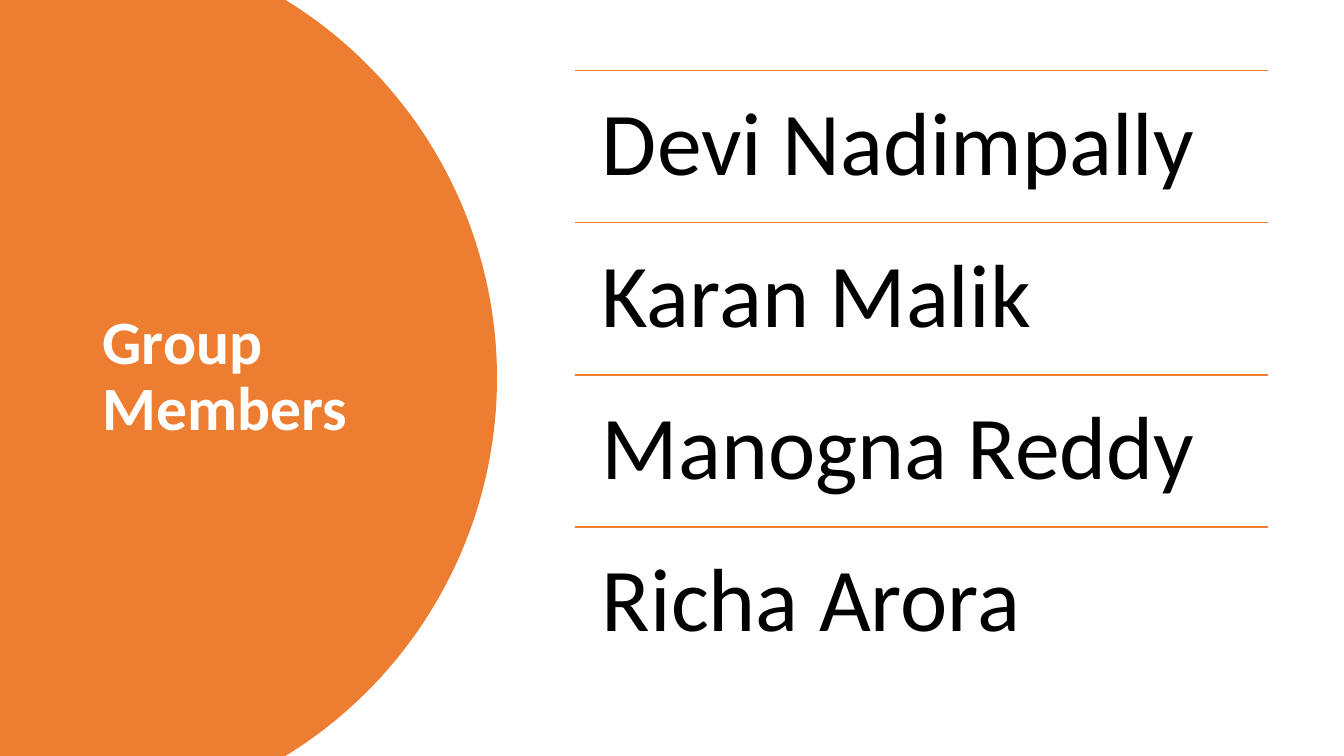
import math
from dataclasses import dataclass

import pptx
import pptx.dml.color
import pptx.enum.shapes
import pptx.enum.text
import pptx.oxml.ns
import pptx.util
from lxml import etree

Inches = pptx.util.Inches

HEADING = "Group Members"
MEMBERS = ["Devi Nadimpally", "Karan Malik", "Manogna Reddy", "Richa Arora"]


@dataclass(frozen=True)
class Theme:
    font: str = "Calibri"
    accent: str = "ED7D31"
    heading_color: str = "FFFFFF"
    member_color: str = "000000"
    heading_size: int = 44
    member_size: int = 64
    rule_width: int = 1
    line_spacing: float = 0.9


THEME = Theme()
SLIDE_W, SLIDE_H = 13.33, 7.5
ARC_CENTER_X, ARC_RADIUS, ARC_STEPS = 0.53, 4.4, 80
HEADING_BOX = (0.92, 0.7, 3.23, 6.09)
LIST_LEFT, LIST_TOP, LIST_WIDTH = 5.7, 0.7, 6.88
ROW_PITCH, ROW_HEIGHT, ROW_INSET = 1.51, 1.51, 0.27


def rgb(value):
    return pptx.dml.color.RGBColor.from_string(value)


def add_panel(slide):
    """Fill the left side up to a circular arc that meets the slide's top and bottom."""
    middle = SLIDE_H / 2
    half_angle = math.asin(middle / ARC_RADIUS)
    angles = [half_angle * (2 * i / ARC_STEPS - 1) for i in range(ARC_STEPS + 1)]
    arc = [(Inches(ARC_CENTER_X + ARC_RADIUS * math.cos(a)),
            Inches(middle + ARC_RADIUS * math.sin(a))) for a in angles]
    builder = slide.shapes.build_freeform(0, 0)
    builder.add_line_segments(arc + [(0, Inches(SLIDE_H))], close=True)
    panel = builder.convert_to_shape()
    panel.shadow.inherit = False
    panel.fill.solid()
    panel.fill.fore_color.rgb = rgb(THEME.accent)
    panel.line.fill.background()


def add_text(slide, text, box, size, color, insets, anchor, bold=False):
    frame = slide.shapes.add_textbox(*map(Inches, box)).text_frame
    frame.word_wrap = True
    frame.vertical_anchor = anchor
    frame.margin_left = frame.margin_right = Inches(insets[0])
    frame.margin_top = frame.margin_bottom = Inches(insets[1])
    paragraph = frame.paragraphs[0]
    paragraph.line_spacing = THEME.line_spacing
    run = paragraph.add_run()
    run.text = text
    run.font.name = THEME.font
    run.font.size = pptx.util.Pt(size)
    run.font.bold = bold
    run.font.color.rgb = rgb(color)


def add_rule(slide, top):
    rule = slide.shapes.add_connector(
        pptx.enum.shapes.MSO_CONNECTOR.STRAIGHT,
        Inches(LIST_LEFT), Inches(top), Inches(LIST_LEFT + LIST_WIDTH), Inches(top))
    rule.line.color.rgb = rgb(THEME.accent)
    rule.line.width = pptx.util.Pt(THEME.rule_width)
    etree.SubElement(rule._element.spPr, pptx.oxml.ns.qn("a:effectLst"))


def main():
    deck = pptx.Presentation()
    deck.slide_width, deck.slide_height = Inches(SLIDE_W), Inches(SLIDE_H)
    slide = deck.slides.add_slide(deck.slide_layouts[6])
    anchors = pptx.enum.text.MSO_ANCHOR

    add_panel(slide)
    add_text(slide, HEADING, HEADING_BOX, THEME.heading_size, THEME.heading_color,
             (0.1, 0.05), anchors.MIDDLE, bold=True)
    for row, member in enumerate(MEMBERS):
        top = LIST_TOP + row * ROW_PITCH
        add_rule(slide, top)
        add_text(slide, member, (LIST_LEFT, top, LIST_WIDTH, ROW_HEIGHT),
                 THEME.member_size, THEME.member_color,
                 (ROW_INSET, ROW_INSET), anchors.TOP)
    deck.save("out.pptx")


if __name__ == "__main__":
    main()
